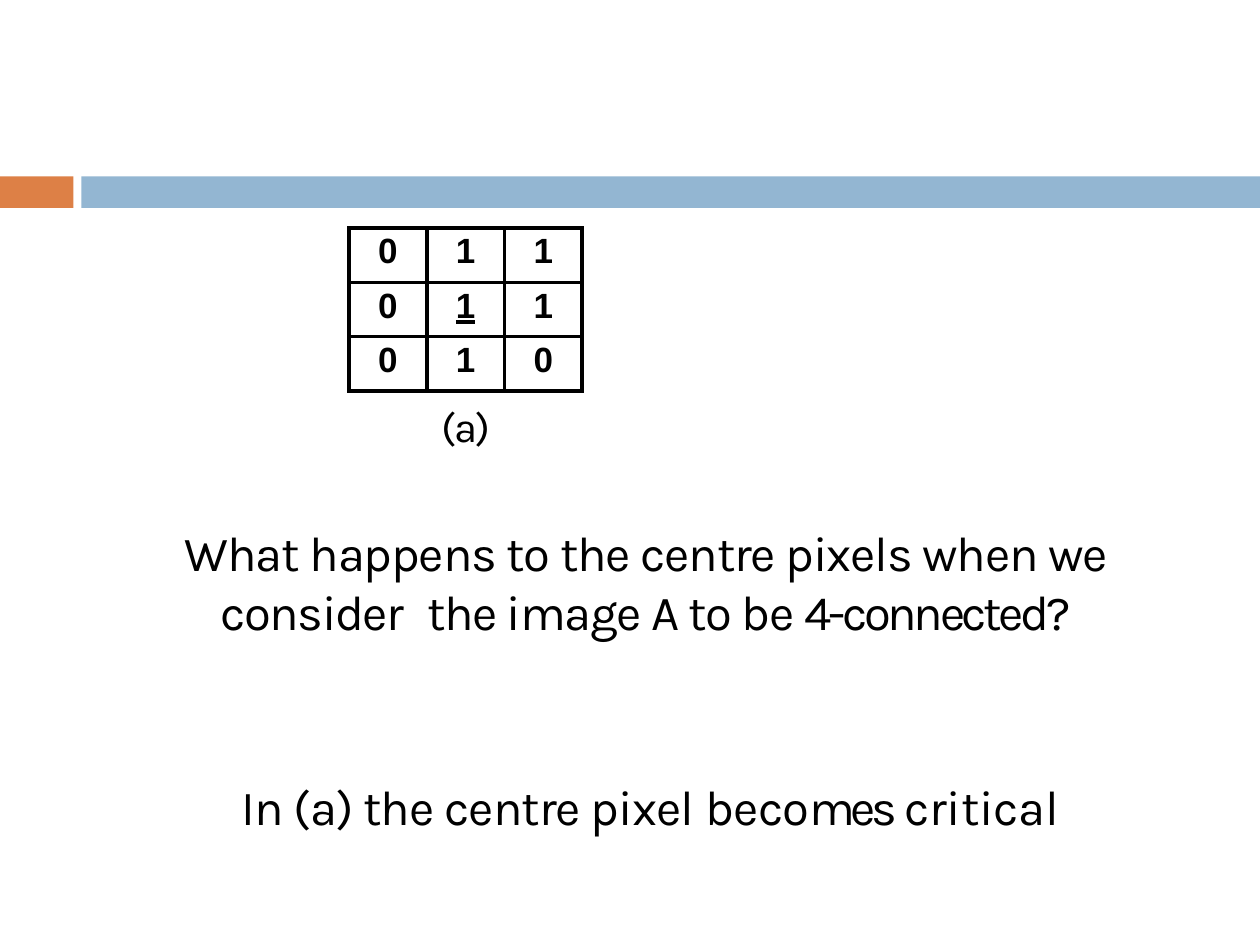
from pptx import Presentation
from pptx.dml.color import RGBColor
from pptx.enum import shapes, text
from pptx.oxml import parse_xml
from pptx.oxml.ns import nsdecls
from pptx.util import Pt

COLORS = {"orange": "DD8046", "blue": "93B6D2", "ink": "000000"}

deck = Presentation()
deck.slide_width, deck.slide_height = Pt(720), Pt(540)
slide = deck.slides.add_slide(deck.slide_layouts[6])

# Two-part band below the title area
for left, width, color in ((0, 42, "orange"), (46.5, 673.5, "blue")):
    band = slide.shapes.add_shape(shapes.MSO_SHAPE.RECTANGLE,
                                  Pt(left), Pt(100.8), Pt(width), Pt(18))
    band.shadow.inherit = False
    band.fill.solid()
    band.fill.fore_color.rgb = RGBColor.from_string(COLORS[color])
    band.line.fill.background()

# 3 x 3 pixel neighbourhood, centre pixel underlined
PIXELS = ("011", "011", "010")
COL, ROW = 44.4, 31.1
neighbourhood = slide.shapes.add_table(3, 3, Pt(199.5), Pt(130.2),
                                       Pt(3 * COL), Pt(3 * ROW)).table
neighbourhood.first_row = neighbourhood.horz_banding = False
for i in range(3):
    neighbourhood.columns[i].width = Pt(COL)
    neighbourhood.rows[i].height = Pt(ROW)

for r, values in enumerate(PIXELS):
    for c, value in enumerate(values):
        pixel = neighbourhood.cell(r, c)
        pixel.margin_left = pixel.margin_right = pixel.margin_bottom = 0
        pixel.margin_top = Pt(2.4)
        para = pixel.text_frame.paragraphs[0]
        para.alignment = text.PP_ALIGN.CENTER
        run = para.add_run()
        run.text = value
        run.font.name, run.font.size, run.font.bold = "Arial", Pt(20), True
        run.font.color.rgb = RGBColor.from_string(COLORS["ink"])
        if r == c == 1:
            run.font.underline = text.MSO_UNDERLINE.HEAVY_LINE
        # Borders come before the fill in the cell properties
        for side in ("lnL", "lnR", "lnT", "lnB"):
            pixel._tc.get_or_add_tcPr().append(parse_xml(
                f'<a:{side} {nsdecls("a")} w="{Pt(2.25)}"><a:solidFill>'
                f'<a:srgbClr val="{COLORS["ink"]}"/></a:solidFill></a:{side}>'))
        pixel.fill.background()

# Caption, question and answer: size, space before, indent, runs with spacing
LINES = (
    (24, 0, 179, [("(a)", -1.1)]),
    (28, 41, 0.7, [("What happens to the centre pixels when we ", -0.63),
                   ("consider", -0.8), (" ", 6.5),
                   ("the image A to be ", -0.7), ("4-connected?", -1.9)]),
    (28, 78, 5.8, [("In (a) the centre pixel ", -0.5), ("beco", -0.3),
                   ("mes ", -2.5), ("critical", -0.2)]),
)
body = slide.shapes.add_textbox(Pt(73.4), Pt(228.1), Pt(590.4), Pt(243)).text_frame
body.word_wrap = True
body.margin_left = body.margin_right = body.margin_bottom = 0
body.margin_top = Pt(0.7)
for i, (size, before, indent, runs) in enumerate(LINES):
    para = body.add_paragraph() if i else body.paragraphs[0]
    if i:
        para.alignment = text.PP_ALIGN.CENTER
        para.space_before = Pt(before)
    para._p.get_or_add_pPr().set("marL", str(Pt(indent)))
    for words, spacing in runs:
        run = para.add_run()
        run.text = words
        run.font.name, run.font.size = "Karla", Pt(size)
        run.font.color.rgb = RGBColor.from_string(COLORS["ink"])
        run._r.get_or_add_rPr().set("spc", str(round(spacing * 100)))

deck.save("out.pptx")
